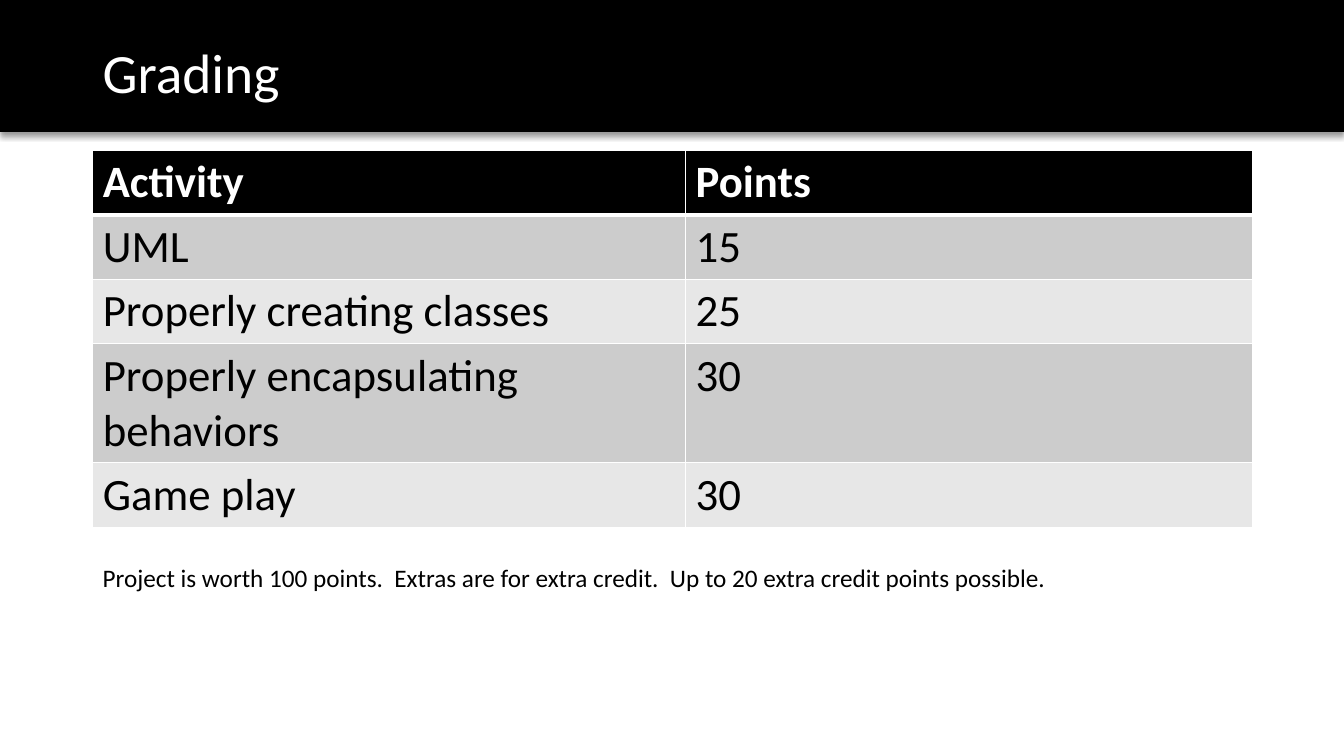
from dataclasses import dataclass

from lxml.etree import SubElement
from pptx import Presentation
from pptx.dml.color import RGBColor
from pptx.enum.shapes import MSO_SHAPE
from pptx.enum.text import MSO_ANCHOR
from pptx.oxml.ns import qn
from pptx.util import Inches, Pt


@dataclass(frozen=True)
class Theme:
    font: str = "Calibri"
    dark: str = "000000"
    light: str = "FFFFFF"
    bands: tuple = ("CCCCCC", "E7E7E7")
    title_size: float = 39.6
    table_size: float = 32
    note_size: float = 18


class SlideBuilder:
    def __init__(self, slide, theme):
        self.s = slide
        self.theme = theme

    def fill_text(self, tf, text, size, color, bold=False, spacing=None):
        p = tf.paragraphs[0]
        if spacing:
            p.line_spacing = spacing
        r = p.add_run()
        r.text = text
        style = {"name": self.theme.font, "size": Pt(size), "bold": bold}
        for key, value in style.items():
            setattr(r.font, key, value)
        r.font.color.rgb = RGBColor.from_string(color)

    def banner(self, x, y, w, h):
        sp = self.s.shapes.add_shape(MSO_SHAPE.RECTANGLE, *map(Inches, (x, y, w, h)))
        sp.fill.solid()
        sp.fill.fore_color.rgb = RGBColor.from_string(self.theme.dark)
        sp.line.fill.background()
        # Soft shadow along the lower edge
        sp.shadow.inherit = False
        effects = sp._element.spPr.find(qn("a:effectLst"))
        shadow = SubElement(effects, qn("a:outerShdw"), blurRad=str(Pt(4)),
                            dist=str(Pt(3)), dir="5400000", rotWithShape="0")
        clr = SubElement(shadow, qn("a:srgbClr"), val=self.theme.dark)
        SubElement(clr, qn("a:alpha"), val="40000")

    def text(self, x, y, w, h, text, size, color, spacing=None):
        box = self.s.shapes.add_textbox(*map(Inches, (x, y, w, h)))
        tf = box.text_frame
        frame = {"word_wrap": True, "vertical_anchor": MSO_ANCHOR.TOP}
        for key, value in frame.items():
            setattr(tf, key, value)
        self.fill_text(tf, text, size, color, spacing=spacing)

    def border(self, cell, widths):
        tc_pr = cell._tc.get_or_add_tcPr()
        # Border lines come before the fill
        for i, (side, width) in enumerate(widths.items()):
            ln = SubElement(tc_pr, qn(f"a:ln{side}"), w=str(Pt(width)))
            fill = SubElement(ln, qn("a:solidFill"))
            SubElement(fill, qn("a:srgbClr"), val=self.theme.light)
            tc_pr.insert(i, ln)

    def table(self, x, y, col_widths, row_heights, rows):
        t = self.theme
        size = (sum(col_widths), sum(row_heights))
        tbl = self.s.shapes.add_table(len(rows), len(col_widths),
                                      *map(Inches, (x, y, *size))).table
        for col, width in zip(tbl.columns, col_widths):
            col.width = Inches(width)
        for i, (row, height, values) in enumerate(zip(tbl.rows, row_heights, rows)):
            row.height = Inches(height)
            header = i == 0
            fill = t.dark if header else t.bands[(i - 1) % 2]
            color = t.light if header else t.dark
            widths = {"L": 1, "R": 1, "T": 3 if i == 1 else 1, "B": 3 if header else 1}
            for cell, value in zip(row.cells, values):
                cell.fill.solid()
                cell.fill.fore_color.rgb = RGBColor.from_string(fill)
                self.border(cell, widths)
                self.fill_text(cell.text_frame, value, t.table_size, color, bold=header)


def main():
    prs = Presentation()
    prs.slide_width, prs.slide_height = Inches(13.33), Inches(7.5)
    theme = Theme()
    b = SlideBuilder(prs.slides.add_slide(prs.slide_layouts[6]), theme)
    left = 0.92

    # Title banner
    b.banner(0, 0, 13.33, 1.31)
    b.text(left, 0.4, 11.5, 0.91, "Grading", theme.title_size, theme.light, spacing=0.9)

    # Grading table
    grades = [
        ("Activity", "Points"),
        ("UML", "15"),
        ("Properly creating classes", "25"),
        ("Properly encapsulating behaviors", "30"),
        ("Game play", "30"),
    ]
    b.table(left, 1.49, (5.88, 5.62), (0.64, 0.64, 0.64, 1.18, 0.64), grades)

    # Note on extra credit
    b.text(left, 5.53, 11.65, 0.4,
           "Project is worth 100 points.  Extras are for extra credit.  "
           "Up to 20 extra credit points possible.",
           theme.note_size, theme.dark)

    prs.save("out.pptx")


if __name__ == "__main__":
    main()
